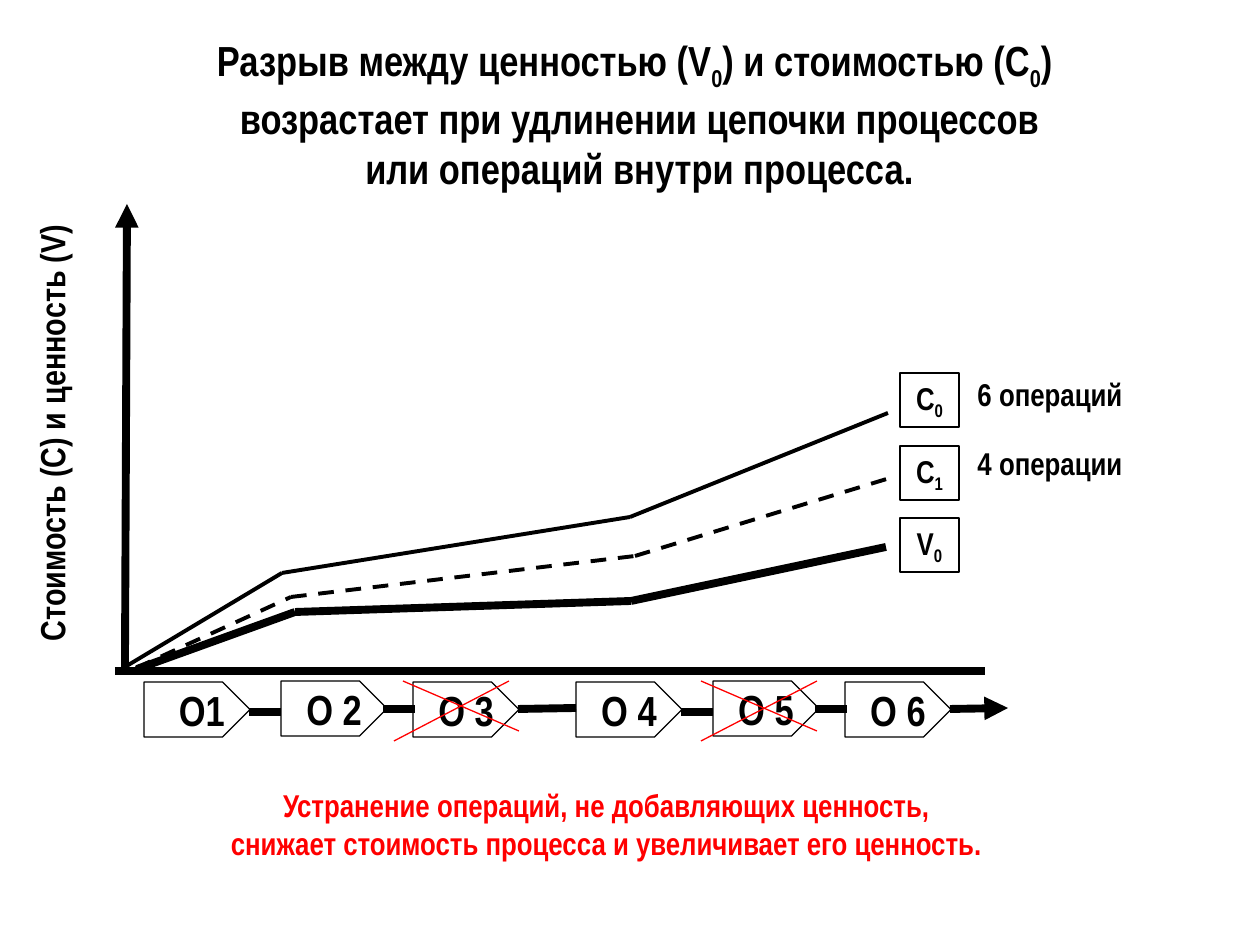
from itertools import pairwise

from lxml.etree import SubElement
from pptx import Presentation
from pptx.dml.color import RGBColor
from pptx.enum.dml import MSO_LINE
from pptx.enum.shapes import MSO_CONNECTOR, MSO_SHAPE
from pptx.enum.text import MSO_ANCHOR, PP_ALIGN
from pptx.oxml.ns import qn
from pptx.util import Emu, Pt

FONT = "Arial Narrow"
BLACK, RED = "000000", "FF0000"


def px(n):
    return Emu(round(n * 914400 / 126))


def rgb(color):
    return RGBColor.from_string(color)


def write(tf, *lines, size=18, color=BLACK, wrap=False, anchor=MSO_ANCHOR.MIDDLE,
          breaks=False):
    """Each line is text in which every second part between "_" is a subscript."""
    tf.word_wrap = wrap
    tf.vertical_anchor = anchor
    p = tf.paragraphs[0]
    for i, line in enumerate(lines):
        if i and breaks:
            p.add_line_break()
        elif i:
            p = tf.add_paragraph()
        p.alignment = PP_ALIGN.CENTER
        p.font.size = Pt(size)
        for j, part in enumerate(line.split("_")):
            if not part:
                continue
            r = p.add_run()
            r.text = part
            r.font.name, r.font.size, r.font.bold = FONT, Pt(size), True
            r.font.color.rgb = rgb(color)
            if j % 2:
                r.font._element.set("baseline", "-25000")


class Page:
    def __init__(self, s):
        self.s = s

    def text(self, x, y, w, h, *lines, vert=None, **fmt):
        tf = self.s.shapes.add_textbox(px(x), px(y), px(w), px(h)).text_frame
        write(tf, *lines, **fmt)
        if vert:
            tf._txBody.bodyPr.set("vert", vert)

    def outline(self, sp, text, size):
        sp.shadow.inherit = False
        sp.fill.background()
        sp.line.color.rgb = rgb(BLACK)
        sp.line.width = Pt(0.75)
        write(sp.text_frame, text, size=size)

    def box(self, x, y, w, h, text):
        sp = self.s.shapes.add_shape(MSO_SHAPE.RECTANGLE, px(x), px(y), px(w), px(h))
        self.outline(sp, text, 18)

    def step(self, x, y, w, h, text):
        tip = h / 2
        fb = self.s.shapes.build_freeform(px(x), px(y))
        fb.add_line_segments([(px(a), px(b)) for a, b in (
            (x + w - tip, y), (x + w, y + tip), (x + w - tip, y + h), (x, y + h))])
        self.outline(fb.convert_to_shape(), text, 24)

    def line(self, start, end, width=4.5, color=BLACK, dash=False, arrow=False):
        c = self.s.shapes.add_connector(MSO_CONNECTOR.STRAIGHT,
                                        *[px(n) for n in (*start, *end)])
        c.line.color.rgb = rgb(color)
        c.line.width = Pt(width)
        if dash:
            c.line.dash_style = MSO_LINE.DASH
        if arrow:
            SubElement(c.line._get_or_add_ln(), qn("a:tailEnd")).set("type", "triangle")
        SubElement(c._element.spPr, qn("a:effectLst"))

    def curve(self, *points, **style):
        for start, end in pairwise(points):
            self.line(start, end, **style)


def main():
    prs = Presentation()
    prs.slide_width, prs.slide_height = px(1260), px(945)
    page = Page(prs.slides.add_slide(prs.slide_layouts[6]))

    # Title and labels
    page.text(44, 35, 1191, 158,
              "Разрыв между ценностью (V_0_) и стоимостью (C_0_) ",
              "возрастает при удлинении цепочки процессов",
              "или операций внутри процесса.", size=24, wrap=True, breaks=True)
    page.text(25, 185, 53, 496, "Стоимость (С) и ценность (V)", size=20, vert="vert270")
    for y, text in ((369, "6 операций"), (438, "4 операции")):
        page.text(965, y, 170, 50, text, anchor=MSO_ANCHOR.TOP)

    # Axes
    page.line((125, 667), (127, 204), arrow=True)
    page.line((115, 671), (985, 671))

    # Cost and value curves with their legend
    page.curve((125, 667), (282, 573), (630, 517), (888, 413), width=2.25)
    page.curve((136, 668), (291, 597), (635, 556), (890, 478), width=2.25, dash=True)
    page.curve((137, 669), (295, 612), (631, 601), (886, 547))
    for y, text in ((373, "C_0_"), (446, "C_1_"), (518, "V_0_")):
        page.box(900, y, 59, 54, text)

    # Chain of operations: the same three steps and links, twice
    names = iter((" O1", "O 2", "O 3", "O 4", "O 5", "O 6"))
    for dx in (0, 432):
        for x, y in ((144, 682), (281, 681), (413, 682)):
            page.step(x + dx, y, 106, 55, next(names))
        for x1, y1, x2, y2 in ((249, 712, 281, 712), (383, 709, 415, 709),
                               (518, 709, 576, 708)):
            page.line((x1 + dx, y1), (x2 + dx, y2), arrow=dx > 0 and x2 == 576)

    # Crossed-out operations
    for (x1, x2), (x3, x4) in (((403, 519), (509, 394)), ((701, 817), (817, 701))):
        page.line((x1, 681), (x2, 731), width=0.75, color=RED)
        page.line((x3, 681), (x4, 741), width=0.75, color=RED)

    # Conclusion
    page.text(203, 780, 814, 88, "Устранение операций, не добавляющих ценность, ",
              "снижает стоимость процесса и увеличивает его ценность. ",
              color=RED, wrap=True, anchor=MSO_ANCHOR.TOP)

    prs.save("out.pptx")


if __name__ == "__main__":
    main()
